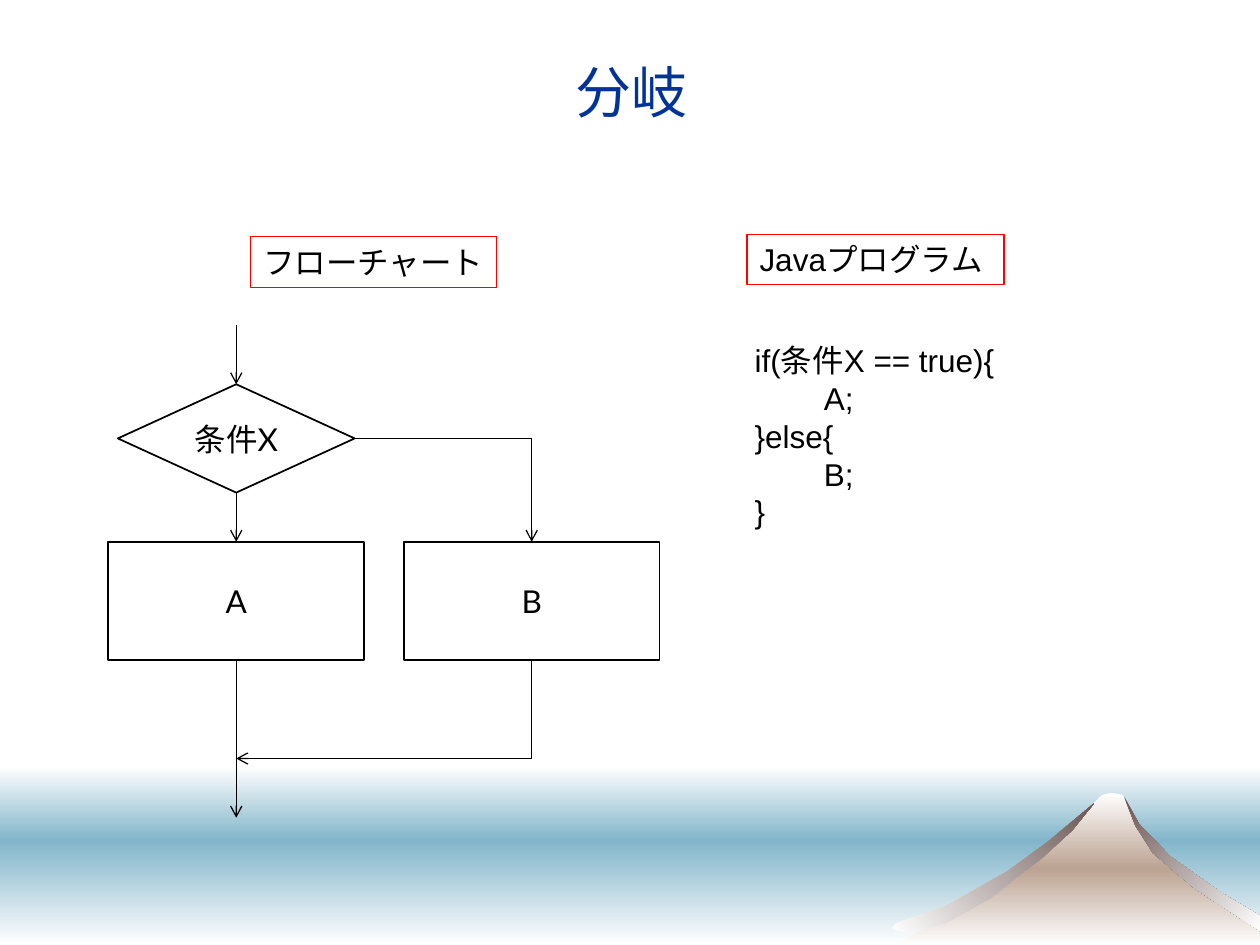
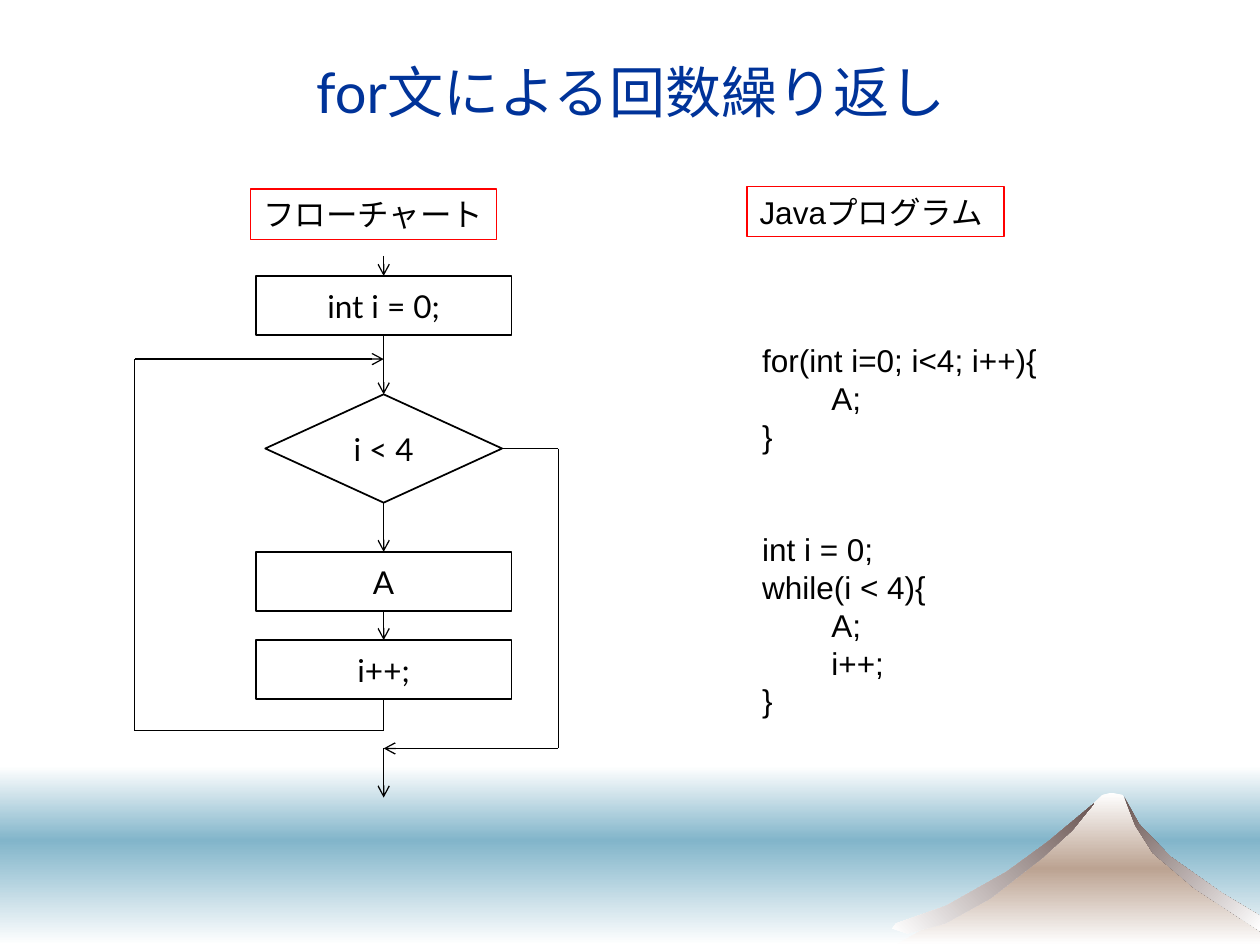
import dataclasses
import itertools

import lxml.etree
import pptx
import pptx.dml.color
import pptx.enum.shapes
import pptx.enum.text
import pptx.oxml.ns
import pptx.util


@dataclasses.dataclass(frozen=True)
class Theme:
    ink: str = "000000"
    paper: str = "FFFFFF"
    title: str = "003399"
    frame: str = "FF0000"
    sea: str = "82B5CA"
    slope: str = "BCA392"
    ridge: str = "6B5653"
    head: str = "Lato"
    body: str = "Arial"
    big: float = 32
    base: float = 18
    pitch: float = 21.6
    thin: float = 0.75
    edge: float = 1


look = Theme()
kinds = pptx.enum.shapes.MSO_SHAPE
align = pptx.enum.text.PP_ALIGN
anchor = pptx.enum.text.MSO_ANCHOR
fit = pptx.enum.text.MSO_AUTO_SIZE
rgb = pptx.dml.color.RGBColor.from_string
qn = pptx.oxml.ns.qn

deck = pptx.Presentation()
deck.slide_width = pptx.util.Inches(10)
deck.slide_height = pptx.util.Inches(7.5)
layout = deck.slide_layouts[5]

# The grid has 100 columns and 75 rows of square cells
cell = deck.slide_width // 100
indent = 5.5


def say(shape, text, place, font=look.head, size=look.base, color=look.ink,
        fill=None, line=None, width=look.edge, center=True, pitch=None):
    """Place a shape and write its text: a tab indents a row, and an empty
    row starts a new block, set off by two rows."""
    shape.left, shape.top, shape.width, shape.height = (int(v * cell) for v in place)
    if fill:
        shape.fill.solid()
        shape.fill.fore_color.rgb = rgb(fill)
    else:
        shape.fill.background()
    if line:
        shape.line.color.rgb = rgb(line)
        shape.line.width = pptx.util.Pt(width)
    frame = shape.text_frame
    frame.word_wrap = center
    frame.auto_size = fit.NONE if center else fit.SHAPE_TO_FIT_TEXT
    frame.vertical_anchor = anchor.MIDDLE if center else anchor.TOP

    para = frame.paragraphs[0]
    for block in text.split("\n\n"):
        for order, row in enumerate(block.split("\n")):
            if para.runs:
                para = frame.add_paragraph()
                if order == 0:
                    para.space_before = pptx.util.Pt(2 * pitch)
            para.alignment = align.CENTER if center else align.LEFT
            if pitch:
                para.line_spacing = pptx.util.Pt(pitch)
            if row.startswith("\t"):
                shape.element.xpath(".//a:pPr")[-1].set("marL", str(int(indent * cell)))
            run = para.add_run()
            run.text = row.strip()
            run.font.name = font
            run.font.size = pptx.util.Pt(size)
            run.font.color.rgb = rgb(color)


def flow(slide, *points):
    """Draw straight lines from point to point, with an arrow at the last."""
    for start, end in itertools.pairwise(points):
        link = slide.shapes.add_connector(
            pptx.enum.shapes.MSO_CONNECTOR.STRAIGHT,
            *(int(v * cell) for v in start + end))
        link.line.color.rgb = rgb(look.ink)
        link.line.width = pptx.util.Pt(look.thin)
        lxml.etree.SubElement(link.element.spPr, qn("a:effectLst"))
    stroke = link.element.xpath(".//a:ln")[0]
    lxml.etree.SubElement(stroke, qn("a:tailEnd")).set("type", "arrow")


# Sizes of the flowchart nodes: big step, small step and test
step_w, step_h, small_h = 20.3, 9.4, 4.7
test_w, test_h = 18.8, 8.6
box, test = kinds.RECTANGLE, kinds.FLOWCHART_DECISION

# Branch: the test leads down to A, or right and down to B
yes, no = 18.75, 42.2
ask, act, join = 30.5, 43, 60.2
branch = dict(
    title="分岐", label=18.7, left=58.9, size=(22.2, 16),
    code="if(条件X == true){\n\tA;\n}else{\n\tB;\n}",
    mid=yes, enter=25.8, leave=(act + step_h, 64.9),
    chain=[("条件X", test, ask, test_w, test_h), ("A", box, act, step_w, step_h)],
    aside=[("B", box, no, act, step_w, step_h)],
    turns=[[(yes + test_w / 2, ask + test_h / 2), (no, ask + test_h / 2), (no, act)],
           [(no, act + step_h), (no, join), (yes, join)]])

# Loop: i++ leads back above the test, and the test leads out on the right
mid, back, out = 30.45, 10.7, 44.3
ask, again, low, done = 31.3, 28.5, 58, 59.4
count = 50.8
loop = dict(
    title="for文による回数繰り返し", label=14.9, left=59.5, size=(23.8, 31),
    code="for(int i=0; i<4; i++){\n\tA;\n}\n\nint i = 0;\nwhile(i < 4){\n\tA;\n\ti++;\n}",
    mid=mid, enter=20.3, leave=(done, 63.3),
    chain=[("int i = 0;", box, 21.9, step_w, small_h),
           ("i < 4", test, ask, test_w, test_h),
           ("A", box, 43.8, step_w, small_h),
           ("i++;", box, count, step_w, small_h)],
    aside=[],
    turns=[[(mid + test_w / 2, ask + test_h / 2), (out, ask + test_h / 2),
            (out, done), (mid, done)],
           [(mid, count + small_h), (mid, low), (back, low),
            (back, again), (mid, again)]])

pages = [branch, loop]
slides = [deck.slides.add_slide(layout) for page in pages]

# Sea: two bands that meet at the horizon
pen = slides[0].shapes
sky, deep, floor = 60.8, 66.7, 75
scene = []
for top, base, tints in [(sky, deep, [look.paper, look.sea]),
                         (deep, floor, [look.sea, look.paper])]:
    band = pen.add_shape(box, 0, int(top * cell),
                         deck.slide_width, int((base - top) * cell))
    scene.append((band, 90, tints))

# Mountain: the hill, then a ridge on each side, from its top down and back
hill = [(71.1, floor), (79, 70.5), (84, 66.6), (87.5, 63.1), (88.2, 62.9),
        (89.1, 63.1), (90.3, 65.7), (92.2, 68), (100, 73.3), (100, floor)]
east = [(89.2, 63.2), (90.4, 65.4), (92.9, 68), (97, 70.9), (100, 72.7),
        (100, 73.9), (94.8, 70.5), (91.5, 67.7), (90.1, 65.5)]
west = [(86.8, 63.8), (83.2, 66.8), (79.9, 69.2), (75.1, 71.9), (71.1, 73.3),
        (70.8, 73.7), (72, 74.1), (75, 73.3), (78.6, 71.3), (82.7, 68.1),
        (85.1, 65.9)]
for points, angle, tints in [(hill, 90, [look.paper, look.slope, look.paper]),
                             (east, 45, [look.ridge, look.paper]),
                             (west, 315, [look.paper, look.ridge])]:
    first, *rest = [(int(x * cell), int(y * cell)) for x, y in points]
    path = pen.build_freeform(*first)
    path.add_line_segments(rest, close=True)
    scene.append((path.convert_to_shape(), angle, tints))

# Shade the scene and move it to the layout that the slides share
for order, (part, angle, tints) in enumerate(scene, 101):
    part.shadow.inherit = False
    part.line.fill.background()
    part.fill.gradient()
    part.fill.gradient_angle = 360 - angle
    stops = part.element.xpath(".//a:gsLst")[0]
    stops.clear()
    for step, tint in enumerate(tints):
        stop = lxml.etree.SubElement(stops, qn("a:gs"))
        stop.set("pos", str(100000 * step // (len(tints) - 1)))
        lxml.etree.SubElement(stop, qn("a:srgbClr")).set("val", tint)
    part.element.xpath(".//p:cNvPr")[0].set("id", str(order))
    layout.shapes.element.append(part.element)

for slide, page in zip(slides, pages):
    # Title
    say(slide.shapes.title, page["title"], (5.1, 2.1, 90, 10.2),
        size=look.big, color=look.title)

    # Column labels
    for text, left, top, wide in [("フローチャート", 19.9, page["label"] + 0.1, 19.5),
                                  ("Javaプログラム", 59.3, page["label"] - 0.1, 20.4)]:
        label = slide.shapes.add_shape(box, 0, 0, cell, cell)
        label.shadow.inherit = False
        say(label, text, (left, top, wide, 4), font=look.body,
            line=look.frame, width=look.thin, center=False)

    # Program text
    note = slide.shapes.add_textbox(0, 0, cell, cell)
    say(note, page["code"], (page["left"], 26.6, *page["size"]),
        font=look.body, center=False, pitch=look.pitch)

    # Nodes, each centred on its column
    mid = page["mid"]
    chain = [(text, kind, mid, *rest) for text, kind, *rest in page["chain"]]
    for text, kind, axis, top, wide, high in chain + page["aside"]:
        node = slide.shapes.add_shape(kind, 0, 0, cell, cell)
        node.shadow.inherit = False
        say(node, text, (axis - wide / 2, top, wide, high),
            fill=look.paper, line=look.ink)

    # Arrows down the chain, then the way out and the turns
    last = page["enter"]
    for text, kind, axis, top, wide, high in chain:
        flow(slide, (mid, last), (mid, top))
        last = top + high
    start, end = page["leave"]
    flow(slide, (mid, start), (mid, end))
    for points in page["turns"]:
        flow(slide, *points)

deck.save("out.pptx")
